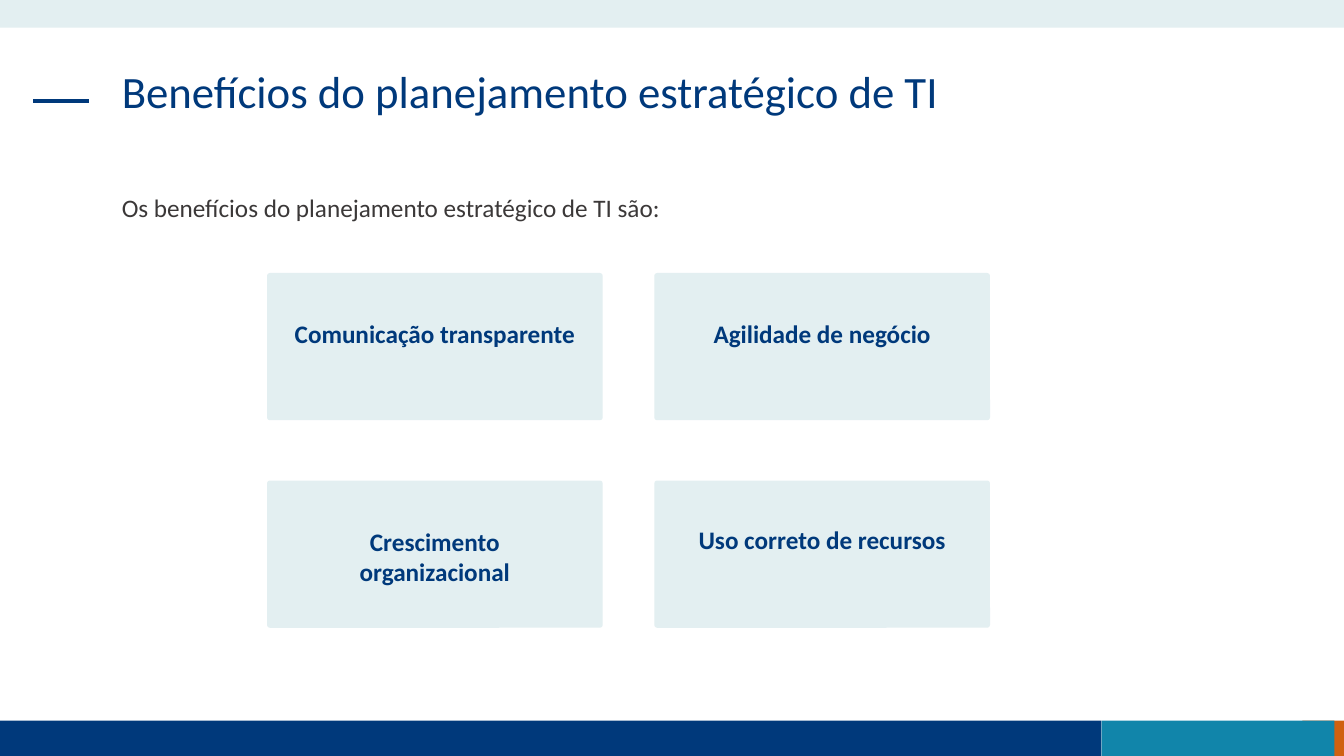
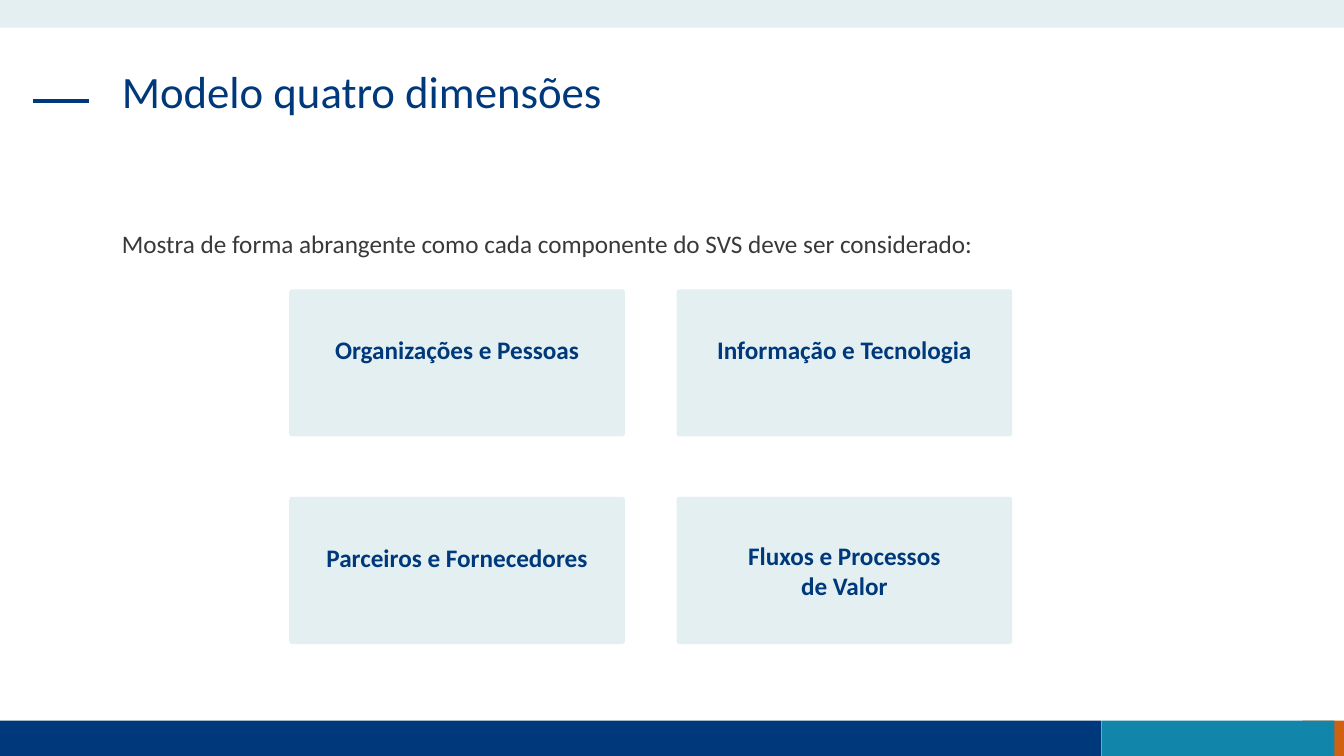
from typing import NamedTuple

from lxml import etree
from pptx import Presentation
from pptx import util as u
from pptx.dml.color import RGBColor
from pptx.enum import shapes, text
from pptx.oxml import ns

NAVY, TEAL, ORANGE, PALE, GREY = "00397B", "1185AA", "D06110", "E3EFF1", "3B3838"
PAGE_WIDTH, PAGE_HEIGHT = 33.87, 19.05
TEXT_LEFT, TEXT_WIDTH = 2.82, 28.19
FOOTER_TOP = 18.16
CARD_WIDTH, CARD_HEIGHT = 8.46, 3.71
GAP_X, GAP_Y = 1.3, 1.52

TITLE = {"size": u.Pt(32), "name": "Calibri", "color": NAVY}
BODY = {"size": u.Pt(18), "name": "Calibri", "color": GREY}
CARD_LABEL = {**BODY, "color": NAVY, "bold": True}


class Card(NamedTuple):
    """A label and its insets in the card, in centimetres."""
    label: str
    side: float = 0.73
    top: float = 1.12


def rgb(value):
    return RGBColor.from_string(value)


def lengths(*values):
    return [u.Cm(value) for value in values]


def format_font(font, style):
    for name, value in style.items():
        if name == "color":
            font.color.rgb = rgb(value)
        else:
            setattr(font, name, value)


def write(frame, content, style, **paragraph_format):
    frame.word_wrap = True
    frame.vertical_anchor = text.MSO_ANCHOR.TOP
    frame.text = content
    for para in frame.paragraphs:
        for name, value in paragraph_format.items():
            setattr(para, name, value)
        for span in para.runs:
            format_font(span.font, style)


def add_text(page, top, height, content, style, **paragraph_format):
    box = page.shapes.add_textbox(*lengths(TEXT_LEFT, top, TEXT_WIDTH, height))
    write(box.text_frame, content, style, **paragraph_format)


def add_filled(page, kind, place, color):
    shape = page.shapes.add_shape(kind, *lengths(*place))
    shape.shadow.inherit = False
    shape.fill.solid()
    shape.fill.fore_color.rgb = rgb(color)
    shape.line.fill.background()
    return shape


def add_frame(page):
    """Draw the bands and the title dash that every slide shares."""
    footer_height = PAGE_HEIGHT - FOOTER_TOP
    bands = [
        ((32.82, FOOTER_TOP, 1.05, footer_height), ORANGE),
        ((0, FOOTER_TOP, 27.76, footer_height), NAVY),
        ((27.76, FOOTER_TOP, 5.87, footer_height), TEAL),
        ((0, 0, PAGE_WIDTH, 0.7), PALE),
    ]
    for place, color in bands:
        add_filled(page, shapes.MSO_SHAPE.RECTANGLE, place, color)
    dash = page.shapes.add_connector(
        shapes.MSO_CONNECTOR.STRAIGHT, *lengths(0.84, 2.54, 2.24, 2.54))
    dash.line.color.rgb = rgb(NAVY)
    dash.line.width = u.Pt(3)
    etree.SubElement(dash._element.spPr, ns.qn("a:effectLst"))


def add_card(page, left, top, card):
    shape = add_filled(page, shapes.MSO_SHAPE.ROUNDED_RECTANGLE,
                       (left, top, CARD_WIDTH, CARD_HEIGHT), PALE)
    shape.adjustments[0] = 0.02
    frame = shape.text_frame
    frame.margin_left = frame.margin_right = u.Cm(card.side)
    frame.margin_top = u.Cm(card.top)
    write(frame, card.label, CARD_LABEL, alignment=text.PP_ALIGN.CENTER)


def add_card_grid(page, left, top, cards):
    for index, card in enumerate(cards):
        row, column = divmod(index, 2)
        add_card(page, left + column * (CARD_WIDTH + GAP_X),
                 top + row * (CARD_HEIGHT + GAP_Y), card)


def add_page(deck, title, intro, intro_top, grid_corner, cards):
    page = deck.slides.add_slide(deck.slide_layouts[6])
    add_frame(page)
    add_text(page, 1.63, 2.39, title, TITLE, line_spacing=0.9)
    add_text(page, intro_top, 1.02, intro, BODY)
    add_card_grid(page, *grid_corner, cards)


def main():
    deck = Presentation()
    deck.slide_width, deck.slide_height = lengths(PAGE_WIDTH, PAGE_HEIGHT)
    add_page(
        deck, "Benefícios do planejamento estratégico de TI",
        "Os benefícios do planejamento estratégico de TI são:", 4.72, (6.73, 6.88),
        [Card("Comunicação transparente", side=0.48),
         Card("Agilidade de negócio"),
         Card("Crescimento organizacional"),
         Card("Uso correto de recursos", top=1.07)])
    add_page(
        deck, "Modelo quatro dimensões",
        "Mostra de forma abrangente como cada componente do SVS deve ser considerado:",
        5.64, (7.29, 7.29),
        [Card("Organizações e Pessoas", side=0.48),
         Card("Informação e Tecnologia"),
         Card("Parceiros e Fornecedores"),
         Card("Fluxos e Processos\nde Valor", top=1.07)])
    deck.save("out.pptx")


if __name__ == "__main__":
    main()
